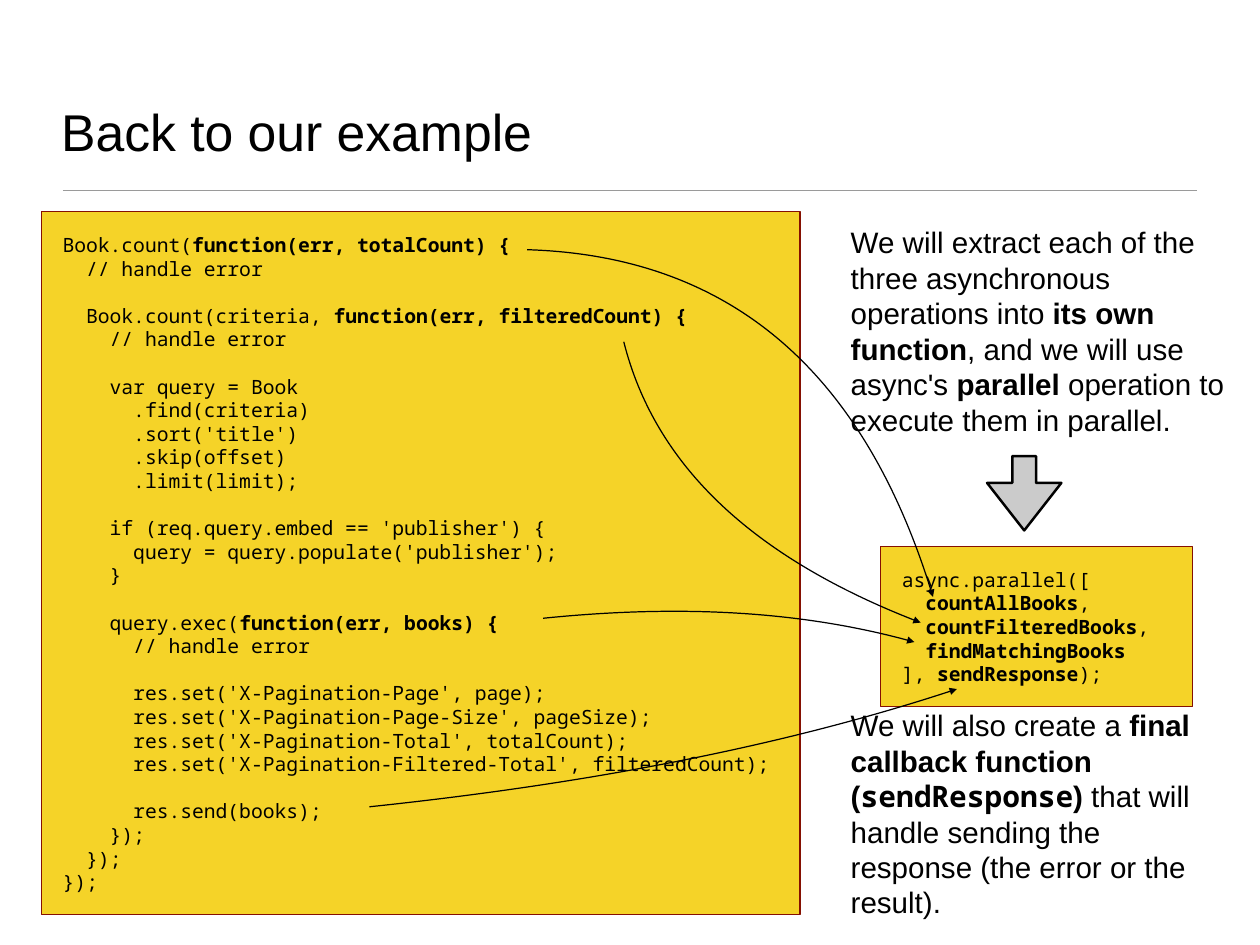
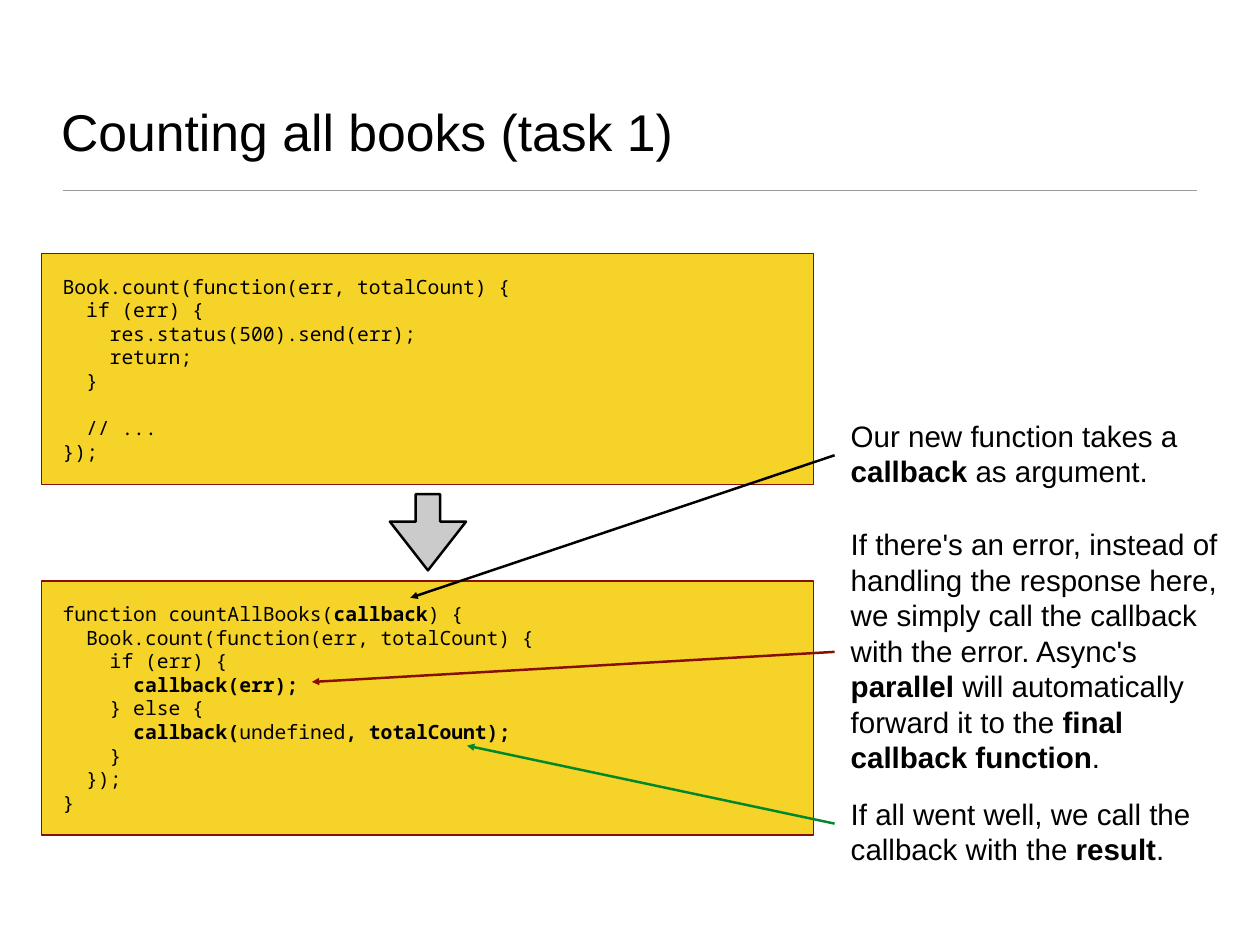
from lxml.etree import SubElement
from pptx import Presentation
from pptx.dml.color import RGBColor
from pptx.enum.shapes import MSO_CONNECTOR, MSO_SHAPE
from pptx.enum.text import MSO_ANCHOR, PP_ALIGN
from pptx.oxml.ns import qn
from pptx.util import Inches, Pt

COLORS = {
    "ink": "000000",
    "code": "F5D328",
    "red": "851001",
    "green": "00882B",
    "step": "CBCBCB",
    "rule": "9A9A9A",
}
SANS, MONO = "Arial", "Noto Sans Mono"
CODE_SIZE, NOTE_SIZE, TITLE_SIZE = 16, 24, 42
CODE_INSET, NOTE_INSET = 1.67, 0.42
LEADING = 1.2
CODE_LEFT, NOTE_WIDTH = 3.3, 30.6
NOTE_LEFT, POINTER_LEFT = 67.1, 66.24

deck = Presentation()
deck.slide_width = Inches(14.22)
deck.slide_height = Inches(10.67)
unit = deck.slide_width / 100


def write_text(shape, text, font, size, inset):
    frame = shape.text_frame
    frame.word_wrap = True
    frame.vertical_anchor = MSO_ANCHOR.MIDDLE
    frame.margin_left = frame.margin_right = int(inset * unit)
    frame.margin_top = frame.margin_bottom = int(inset * unit)
    paragraph, gap = frame.paragraphs[0], 0
    for number, line in enumerate(text.strip().split("\n")):
        if not line:
            gap += 1
            continue
        if number:
            paragraph = frame.add_paragraph()
        paragraph.alignment = PP_ALIGN.LEFT
        paragraph.line_spacing = Pt(LEADING * size)
        paragraph.space_before = Pt(LEADING * size * gap)
        paragraph.font.name = font
        paragraph.font.size = Pt(size)
        paragraph.font.color.rgb = RGBColor.from_string(COLORS["ink"])
        gap = 0
        for strong, passage in enumerate(line.split("**")):
            for mono, words in enumerate(passage.split("`")):
                if words:
                    run = paragraph.add_run()
                    run.text = words
                    if strong % 2:
                        run.font.bold = True
                    if mono % 2:
                        run.font.name = MONO


def draw_outline(shape, color, width, arrow=False):
    shape.line.color.rgb = RGBColor.from_string(COLORS[color])
    shape.line.width = Pt(width)
    properties = shape._element.spPr
    if arrow:
        SubElement(properties.find(qn("a:ln")), qn("a:tailEnd"), type="triangle")
    SubElement(properties, qn("a:effectLst"))


nested_callbacks = """
Book.count(**function(err, totalCount) {**
  // handle error

  Book.count(criteria, **function(err, filteredCount) {**
    // handle error

    var query = Book
      .find(criteria)
      .sort('title')
      .skip(offset)
      .limit(limit);

    if (req.query.embed == 'publisher') {
      query = query.populate('publisher');
    }

    query.exec(**function(err, books) {**
      // handle error

      res.set('X-Pagination-Page', page);
      res.set('X-Pagination-Page-Size', pageSize);
      res.set('X-Pagination-Total', totalCount);
      res.set('X-Pagination-Filtered-Total', filteredCount);

      res.send(books);
    });
  });
});
"""

parallel_call = """
async.parallel([
  **countAllBooks**,
  **countFilteredBooks**,
  **findMatchingBooks**
], **sendResponse**);
"""

count_before = """
Book.count(function(err, totalCount) {
  if (err) {
    res.status(500).send(err);
    return;
  }

  // ...
});
"""

count_after = """
function countAllBooks(**callback**) {
  Book.count(function(err, totalCount) {
    if (err) {
      **callback(err);**
    } else {
      **callback(**undefined**, totalCount);**
    }
  });
}
"""

pages = [
    {
        "title": "Back to our example",
        "listings": [
            (nested_callbacks, (CODE_LEFT, 16.8, 60.2, 55.84)),
            (parallel_call, (69.9, 43.39, 24.75, 12.73)),
        ],
        "step": (78.34, 36.22, 5.9, 5.9),
        "notes": [
            ("We will extract each of the three asynchronous operations into "
             "**its own function**, and we will use async's **parallel** "
             "operation to execute them in parallel.", 16.03, 20.46),
            ("We will also create a **final callback function "
             "(`sendResponse`)** that will handle sending the response "
             "(the error or the result).", 55.77, 17.65),
        ],
        "curves": [
            ((41.84, 19.83), (57.88, 20.32), (68.64, 29.54), (74.05, 47.4)),
            ((49.51, 27.14), (51.97, 36.92), (59.85, 44.37), (73.07, 49.44)),
            ((43.11, 49.09), (54.22, 47.96), (64.06, 48.59), (72.57, 50.98)),
            ((29.32, 64.06), (47.26, 62.17), (62.8, 59.07), (75.95, 54.71)),
        ],
        "pointers": [],
    },
    {
        "title": "Counting all books (task 1)",
        "listings": [
            (count_before, (CODE_LEFT, 20.11, 61.25, 18.35)),
            (count_after, (CODE_LEFT, 46.13, 61.25, 20.18)),
        ],
        "step": (30.94, 39.24, 6.05, 6.05),
        "notes": [
            ("Our new function takes a **callback** as argument.", 32.77, 6.4),
            ("If there's an error, instead of handling the response here, "
             "we simply call the callback with the error. Async's "
             "**parallel** will automatically forward it to the "
             "**final callback function**.", 41.42, 20.46),
            ("If all went well, we call the callback with the **result**.",
             62.8, 6.4),
        ],
        "curves": [],
        "pointers": [
            ("ink", 36.15, (32.56, 47.47)),
            ("red", 51.76, (24.75, 54.15)),
            ("green", 65.4, (37.06, 59.21)),
        ],
    },
]

layout = deck.slide_layouts.get_by_name("Title Only")
heading = layout.placeholders[0]
heading.left, heading.top, heading.width, heading.height = [
    int(length * unit) for length in (4.43, 2.53, 91.2, 10.76)
]
heading.text_frame.vertical_anchor = MSO_ANCHOR.BOTTOM
heading.text_frame.margin_left = heading.text_frame.margin_right = int(NOTE_INSET * unit)
heading.text_frame.margin_top = heading.text_frame.margin_bottom = int(NOTE_INSET * unit)

for page_number, page in enumerate(pages):
    slide = deck.slides.add_slide(layout)
    shapes = slide.shapes
    if page_number == 0:
        rule = shapes.add_connector(
            MSO_CONNECTOR.STRAIGHT,
            *[int(length * unit) for length in (5, 15.12, 95, 15.12)])
        draw_outline(rule, "rule", 1)
        layout.shapes._spTree.append(rule._element)

    shapes.title.text = page["title"]
    title_line = shapes.title.text_frame.paragraphs[0]
    title_line.alignment = PP_ALIGN.LEFT
    title_line.font.name = SANS
    title_line.font.size = Pt(TITLE_SIZE)
    title_line.font.color.rgb = RGBColor.from_string(COLORS["ink"])

    for code, area in page["listings"]:
        listing = shapes.add_shape(
            MSO_SHAPE.RECTANGLE, *[int(length * unit) for length in area])
        listing.fill.solid()
        listing.fill.fore_color.rgb = RGBColor.from_string(COLORS["code"])
        draw_outline(listing, "red", 1)
        write_text(listing, code, MONO, CODE_SIZE, CODE_INSET)

    step = shapes.add_shape(
        MSO_SHAPE.DOWN_ARROW, *[int(length * unit) for length in page["step"]])
    step.adjustments[0], step.adjustments[1] = 0.32, 0.64
    step.fill.solid()
    step.fill.fore_color.rgb = RGBColor.from_string(COLORS["step"])
    draw_outline(step, "ink", 2)

    for words, top, height in page["notes"]:
        note = shapes.add_textbox(
            *[int(length * unit) for length in (NOTE_LEFT, top, NOTE_WIDTH, height)])
        write_text(note, words, SANS, NOTE_SIZE, NOTE_INSET)

    for curve in page["curves"]:
        start, *bends = [(int(x * unit), int(y * unit)) for x, y in curve]
        builder = shapes.build_freeform(*start, scale=1.0)
        builder.add_line_segments(bends[-1:], close=False)
        link = builder.convert_to_shape()
        straight = link._element.xpath(".//a:lnTo")[0]
        bezier = SubElement(straight.getparent(), qn("a:cubicBezTo"))
        straight.getparent().remove(straight)
        for x, y in bends:
            SubElement(bezier, qn("a:pt"), x=str(x - link.left), y=str(y - link.top))
        link.fill.background()
        draw_outline(link, "ink", 1, arrow=True)

    for color, top, target in page["pointers"]:
        pointer = shapes.add_connector(
            MSO_CONNECTOR.STRAIGHT,
            *[int(length * unit) for length in (POINTER_LEFT, top, *target)])
        draw_outline(pointer, color, 2, arrow=True)

deck.save("out.pptx")
